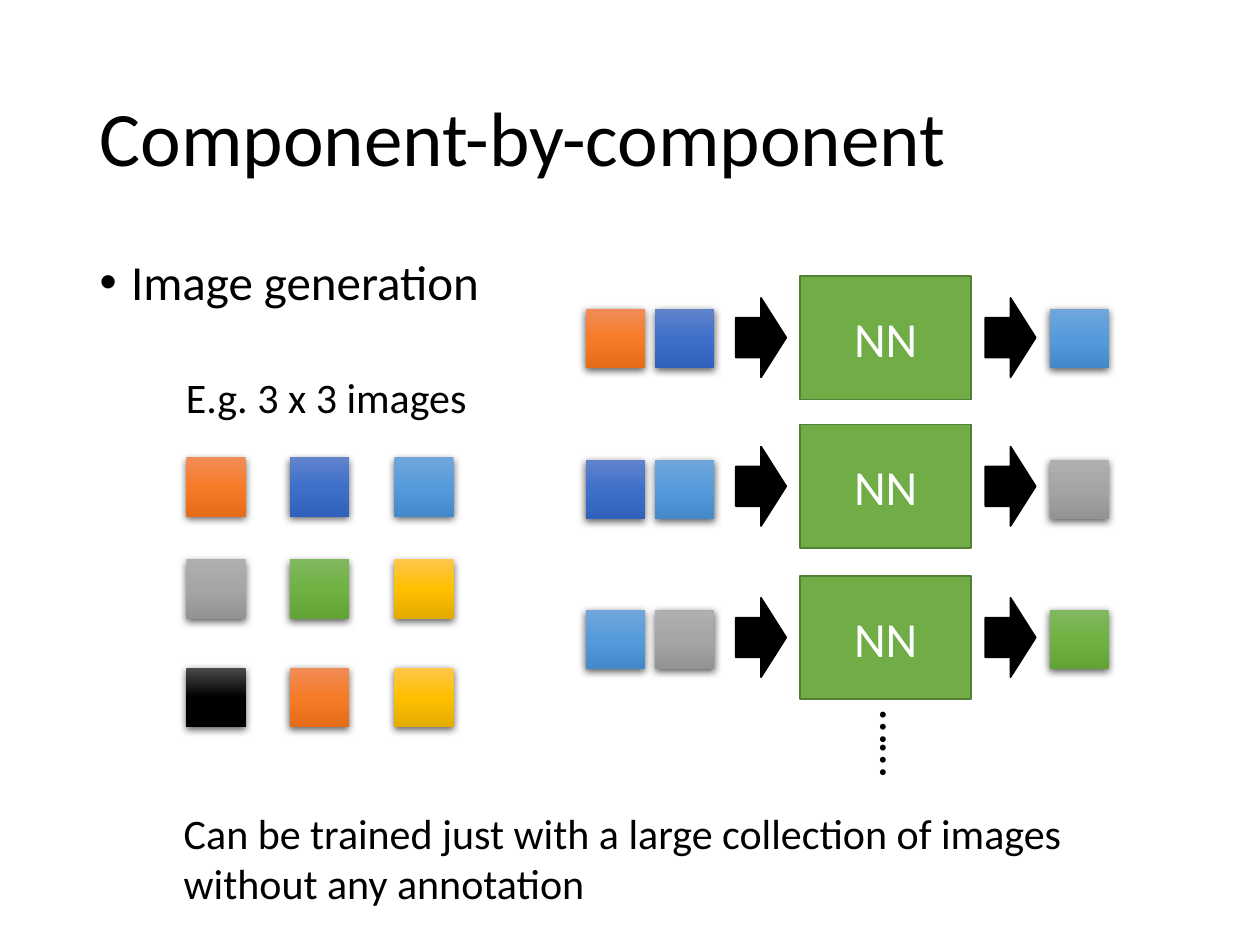
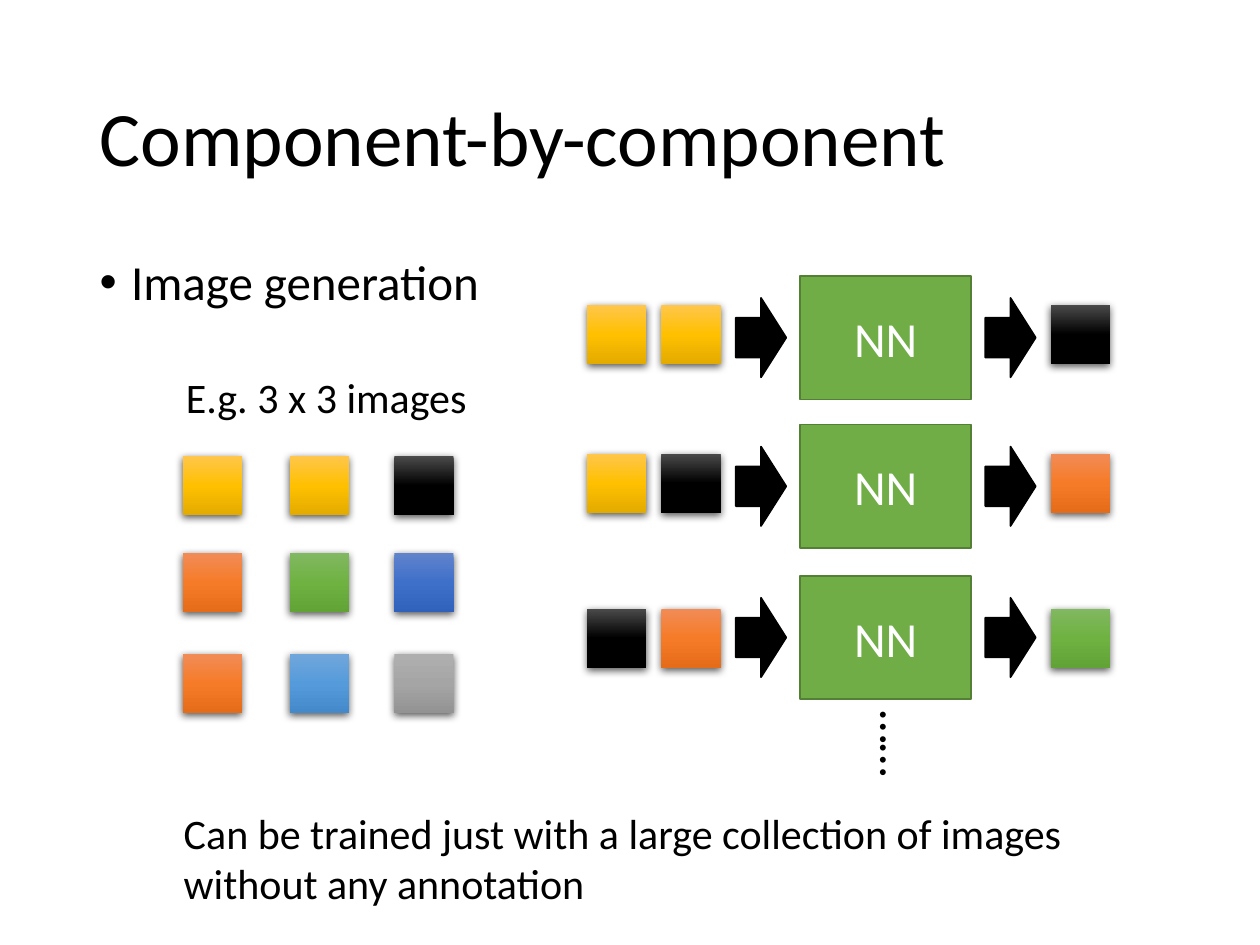
from lxml import etree
from pptx import Presentation
from pptx.dml.color import RGBColor
from pptx.enum.shapes import MSO_SHAPE as SHAPE
from pptx.enum.text import MSO_ANCHOR as ANCHOR, MSO_AUTO_SIZE as AUTO, PP_ALIGN as ALIGN
from pptx.oxml.ns import qn
from pptx.util import Inches, Pt

BLACK = RGBColor(0x00, 0x00, 0x00)
WHITE = RGBColor(0xFF, 0xFF, 0xFF)
NN_FILL = RGBColor(0x70, 0xAD, 0x47)
NN_LINE = RGBColor(0x53, 0x80, 0x35)

# Top, middle and bottom colour of each pixel
ORANGE, GRAY, SKY, BLUE, GREEN, GOLD, DARK = [
    [RGBColor.from_string(c) for c in stops.split()] for stops in (
        "F18C57 F67B28 E56C19",
        "AFAFAF A5A5A5 939393",
        "71A6DB 559BDB 448ACA",
        "6183CB 3E70CA 3062BB",
        "81B861 6FB242 62A336",
        "FFC64B FFC000 E3AB00",
        "4B4B4B 000000 000000",
    )]

PIXEL = 0.47
NN_TOPS = (2.19, 3.37, 4.57)
NN_HEIGHT, ARROW_HEIGHT = 0.98, 0.63
ARROW_LEFTS = (5.84, 7.82)


def box(*lengths):
    return [Inches(v) for v in lengths]


def format_text(tf, text, size, color=BLACK, **paragraph_format):
    tf.word_wrap = True
    p = tf.paragraphs[0]
    r = p.add_run()
    r.text = text
    for name, value in paragraph_format.items():
        setattr(p, name, value)
    for name, value in {"name": "Calibri", "size": Pt(size)}.items():
        setattr(r.font, name, value)
    r.font.color.rgb = color


def fill_placeholder(ph, bounds, text, size, anchor):
    ph.left, ph.top, ph.width, ph.height = box(*bounds)
    ph.text_frame.vertical_anchor = anchor
    format_text(ph.text_frame, text, size, alignment=ALIGN.LEFT,
                line_spacing=0.9, space_before=Pt(0))


def add_bullet(p):
    pPr = p._p.get_or_add_pPr()
    pPr.set("marL", str(Inches(0.25)))
    pPr.set("indent", str(-Inches(0.25)))
    etree.SubElement(pPr, qn("a:buFont"), typeface="Arial")
    etree.SubElement(pPr, qn("a:buChar"), char="•")


def add_label(slide, bounds, text, size, alignment=ALIGN.CENTER, rotation=0):
    tb = slide.shapes.add_textbox(*box(*bounds))
    tb.rotation = rotation
    format_text(tb.text_frame, text, size, alignment=alignment)
    tb.text_frame.auto_size = AUTO.SHAPE_TO_FIT_TEXT


def add_solid(slide, kind, bounds, fill, line):
    sp = slide.shapes.add_shape(kind, *box(*bounds))
    sp.shadow.inherit = False
    sp.fill.solid()
    sp.fill.fore_color.rgb = fill
    sp.line.color.rgb = line
    sp.line.width = Pt(1)
    return sp


def add_pixel(slide, left, top, colors):
    """Add a square with a vertical gradient and a soft shadow below."""
    sp = slide.shapes.add_shape(SHAPE.RECTANGLE, *box(left, top, PIXEL, PIXEL))
    sp.line.fill.background()
    sp.fill.gradient()
    sp.fill.gradient_angle = 270
    spPr = sp._element.spPr
    stops = spPr.find(qn("a:gradFill")).find(qn("a:gsLst"))
    stops.clear()
    for pos, color in zip((0, 50000, 100000), colors):
        gs = etree.SubElement(stops, qn("a:gs"), pos=str(pos))
        etree.SubElement(gs, qn("a:srgbClr"), val=str(color))
    sp.shadow.inherit = False
    shadow = etree.SubElement(
        spPr.find(qn("a:effectLst")), qn("a:outerShdw"), blurRad=str(Pt(4.5)),
        dist=str(Pt(1.5)), dir="5400000", algn="ctr", rotWithShape="0")
    color = etree.SubElement(shadow, qn("a:srgbClr"), val=str(BLACK))
    etree.SubElement(color, qn("a:alpha"), val="63000")


def add_pixels(slide, lefts, tops, rows):
    for top, row in zip(tops, rows):
        for left, colors in zip(lefts, row):
            add_pixel(slide, left, top, colors)


def add_network(slide, top):
    """Add one NN block with the arrows into and out of it."""
    sp = add_solid(slide, SHAPE.RECTANGLE, (6.35, top, 1.36, NN_HEIGHT), NN_FILL, NN_LINE)
    sp.text_frame.vertical_anchor = ANCHOR.MIDDLE
    format_text(sp.text_frame, "NN", 28, WHITE, alignment=ALIGN.CENTER)
    arrow_top = top + (NN_HEIGHT - ARROW_HEIGHT) / 2
    for left in ARROW_LEFTS:
        add_solid(slide, SHAPE.RIGHT_ARROW, (left, arrow_top, 0.4, ARROW_HEIGHT), BLACK, BLACK)


def add_generation_slide(prs, image, steps):
    """Image and steps are each (lefts, tops, rows of pixel colours)."""
    slide = prs.slides.add_slide(prs.slide_layouts[1])
    title, body = slide.placeholders
    fill_placeholder(title, (0.69, 0.4, 8.62, 1.45), "Component-by-component", 44, ANCHOR.MIDDLE)
    add_bullet(body.text_frame.paragraphs[0])
    fill_placeholder(body, (0.69, 2, 8.62, 4.76), "Image generation", 28, ANCHOR.TOP)
    add_label(slide, (1.28, 2.9, 2.62, 0.5), "E.g. 3 x 3 images", 24)
    add_pixels(slide, *image)
    for top in NN_TOPS:
        add_network(slide, top)
    add_pixels(slide, *steps)
    add_label(slide, (6.66, 5.62, 0.96, 0.57), "……", 28, rotation=90)
    add_label(slide, (1.36, 6.36, 7.52, 0.91),
              "Can be trained just with a large collection of images without any annotation",
              24, ALIGN.LEFT)


def main():
    prs = Presentation()
    prs.slide_width, prs.slide_height = box(10, 7.5)
    add_generation_slide(
        prs,
        image=((1.48, 2.3, 3.13), (3.63, 4.44, 5.3),
               [(ORANGE, BLUE, SKY), (GRAY, GREEN, GOLD), (DARK, ORANGE, GOLD)]),
        steps=((4.65, 5.2, 8.33), (2.45, 3.65, 4.84),
               [(ORANGE, BLUE, SKY), (BLUE, SKY, GRAY), (SKY, GRAY, GREEN)]))
    add_generation_slide(
        prs,
        image=((1.45, 2.3, 3.13), (3.62, 4.39, 5.19),
               [(GOLD, GOLD, DARK), (ORANGE, GREEN, BLUE), (ORANGE, SKY, GRAY)]),
        steps=((4.66, 5.25, 8.34), (2.42, 3.6, 4.83),
               [(GOLD, GOLD, DARK), (GOLD, DARK, ORANGE), (DARK, ORANGE, GREEN)]))
    prs.save("out.pptx")


if __name__ == "__main__":
    main()
